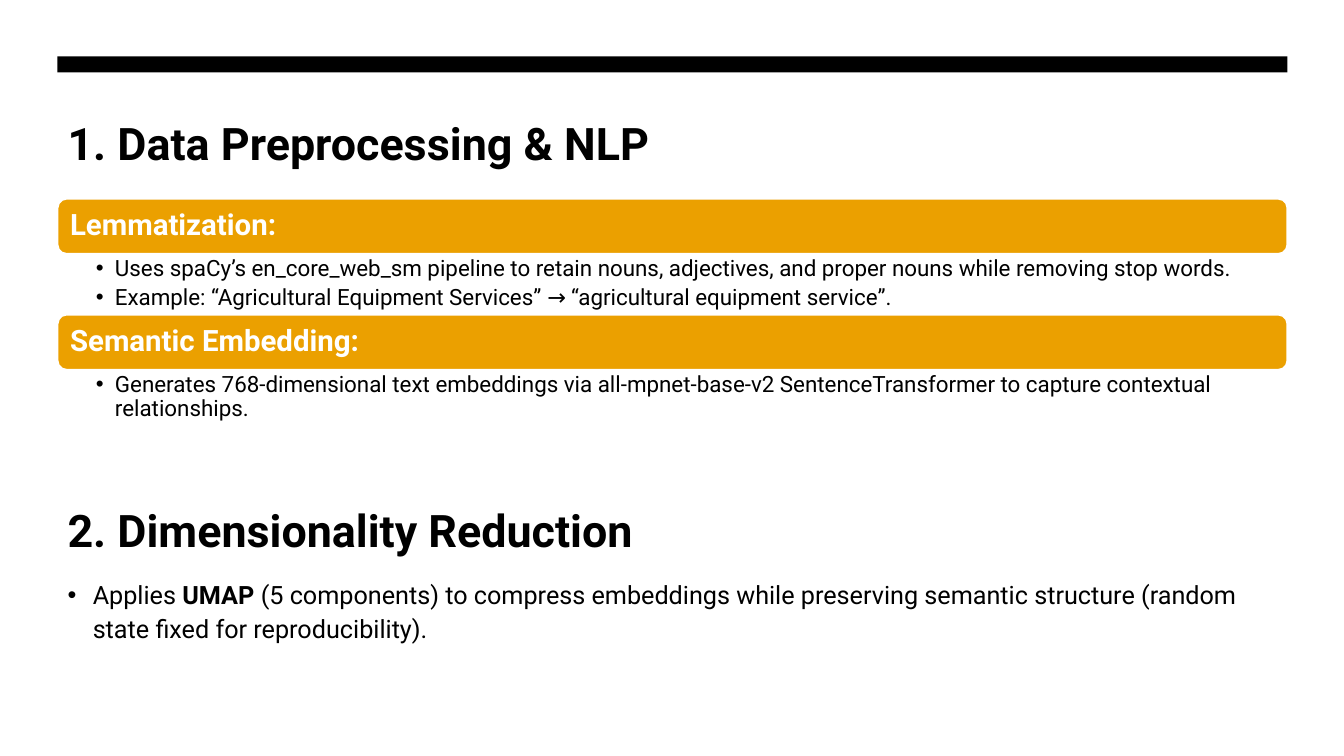
import dataclasses

import lxml.etree
import pptx
import pptx.dml.color
import pptx.enum.shapes
import pptx.enum.text
import pptx.oxml.ns
import pptx.util

Inches = pptx.util.Inches
Pt = pptx.util.Pt
Anchor = pptx.enum.text.MSO_ANCHOR
Shape = pptx.enum.shapes.MSO_SHAPE


@dataclasses.dataclass(frozen=True)
class Theme:
    font: str = "Roboto"
    ink: str = "000000"
    paper: str = "FFFFFF"
    accent: str = "EBA000"
    heading_size: int = 32
    bar_size: int = 21
    detail_size: int = 16
    body_size: int = 18
    left: float = 0.57
    width: float = 12.2


class SlideBuilder:
    def __init__(self, deck, theme):
        self.theme = theme
        self.page = deck.slides.add_slide(deck.slide_layouts.get_by_name("Comparison"))
        self.holders = {
            holder.placeholder_format.idx: holder for holder in self.page.placeholders
        }
        for index in (10, 11, 12):
            self.holders.pop(index, None)

    def color(self, value):
        return pptx.dml.color.RGBColor.from_string(value)

    def apply(self, target, formats):
        for name, value in formats.items():
            setattr(target, name, value)

    def place(self, box, top, height):
        self.apply(box, {
            "left": Inches(self.theme.left),
            "top": Inches(top),
            "width": Inches(self.theme.width),
            "height": Inches(height),
        })

    def frame(self, box, anchor, insets=(0.1, 0.05, 0.1, 0.05)):
        left, top, right, bottom = map(Inches, insets)
        self.apply(box.text_frame, {
            "word_wrap": True,
            "auto_size": pptx.enum.text.MSO_AUTO_SIZE.NONE,
            "vertical_anchor": anchor,
            "margin_left": left,
            "margin_top": top,
            "margin_right": right,
            "margin_bottom": bottom,
        })
        return box.text_frame

    def fill_para(self, para, spans, size, color, spacing, before=0, after=0):
        self.apply(para, {
            "alignment": pptx.enum.text.PP_ALIGN.LEFT,
            "line_spacing": spacing,
            "space_before": Pt(before),
            "space_after": Pt(after),
        })
        for text, bold in spans:
            span = para.add_run()
            span.text = text
            self.apply(span.font, {"name": self.theme.font, "size": Pt(size), "bold": bold})
            span.font.color.rgb = self.color(color)

    def shape(self, kind, top, height, fill):
        box = self.page.shapes.add_shape(kind, 0, 0, 0, 0)
        self.place(box, top, height)
        box.shadow.inherit = False
        box.fill.solid()
        box.fill.fore_color.rgb = self.color(fill)
        return box

    def rule(self, top, height):
        self.shape(Shape.RECTANGLE, top, height, self.theme.ink).line.fill.background()

    def heading(self, index, text, top):
        box = self.holders[index]
        self.place(box, top, 0.76)
        para = self.frame(box, Anchor.MIDDLE).paragraphs[0]
        self.fill_para(para, [(text, True)], self.theme.heading_size, self.theme.ink, 0.9)

    def bar(self, text, top):
        box = self.shape(Shape.ROUNDED_RECTANGLE, top, 0.55, self.theme.accent)
        box.line.color.rgb = self.color(self.theme.paper)
        box.line.width = Pt(1.5)
        para = self.frame(box, Anchor.MIDDLE).paragraphs[0]
        self.fill_para(para, [(text, True)], self.theme.bar_size, self.theme.paper, 0.9)

    def bullets(self, index, items, top, height, insets, indent, **text_format):
        box = self.holders[index]
        self.place(box, top, height)
        frame = self.frame(box, Anchor.TOP, insets)
        for number, spans in enumerate(items):
            para = frame.add_paragraph() if number else frame.paragraphs[0]
            self.fill_para(para, spans, color=self.theme.ink, **text_format)
            properties = para._p.get_or_add_pPr()
            properties.set("marL", str(Inches(indent)))
            properties.set("indent", str(-Inches(indent)))
            font = lxml.etree.SubElement(properties, pptx.oxml.ns.qn("a:buFont"))
            font.set("typeface", "Arial")
            bullet = lxml.etree.SubElement(properties, pptx.oxml.ns.qn("a:buChar"))
            bullet.set("char", "•")

    def details(self, index, lines, top, height):
        self.bullets(
            index, [[(line, False)] for line in lines], top, height,
            insets=(0.38, 0.03, 0.16, 0.03), indent=0.19,
            size=self.theme.detail_size, spacing=0.9, after=3.75,
        )


def main():
    deck = pptx.Presentation()
    deck.slide_width = Inches(13.33)
    deck.slide_height = Inches(7.5)
    theme = Theme()
    builder = SlideBuilder(deck, theme)

    builder.rule(0.56, 0.16)
    builder.heading(0, "1. Data Preprocessing & NLP", 1.07)
    builder.bar("Lemmatization:", 1.97)
    builder.details(2, [
        "Uses spaCy’s en_core_web_sm pipeline to retain nouns, adjectives, "
        "and proper nouns while removing stop words.",
        "Example: “Agricultural Equipment Services” → “agricultural equipment service”.",
    ], 2.52, 0.59)
    builder.bar("Semantic Embedding:", 3.12)
    builder.details(3, [
        "Generates 768-dimensional text embeddings via all-mpnet-base-v2 "
        "SentenceTransformer to capture contextual relationships.",
    ], 3.67, 0.55)

    builder.heading(1, "2. Dimensionality Reduction", 4.91)
    builder.bullets(
        4,
        [[
            ("Applies ", False),
            ("UMAP", True),
            (" (5 components) to compress embeddings while preserving semantic "
             "structure (random state fixed for reproducibility).", False),
        ]],
        5.67, 1.08, insets=(0.1, 0.05, 0.1, 0.05), indent=0.25,
        size=theme.body_size, spacing=1.1, before=10,
    )
    deck.save("out.pptx")


if __name__ == "__main__":
    main()
